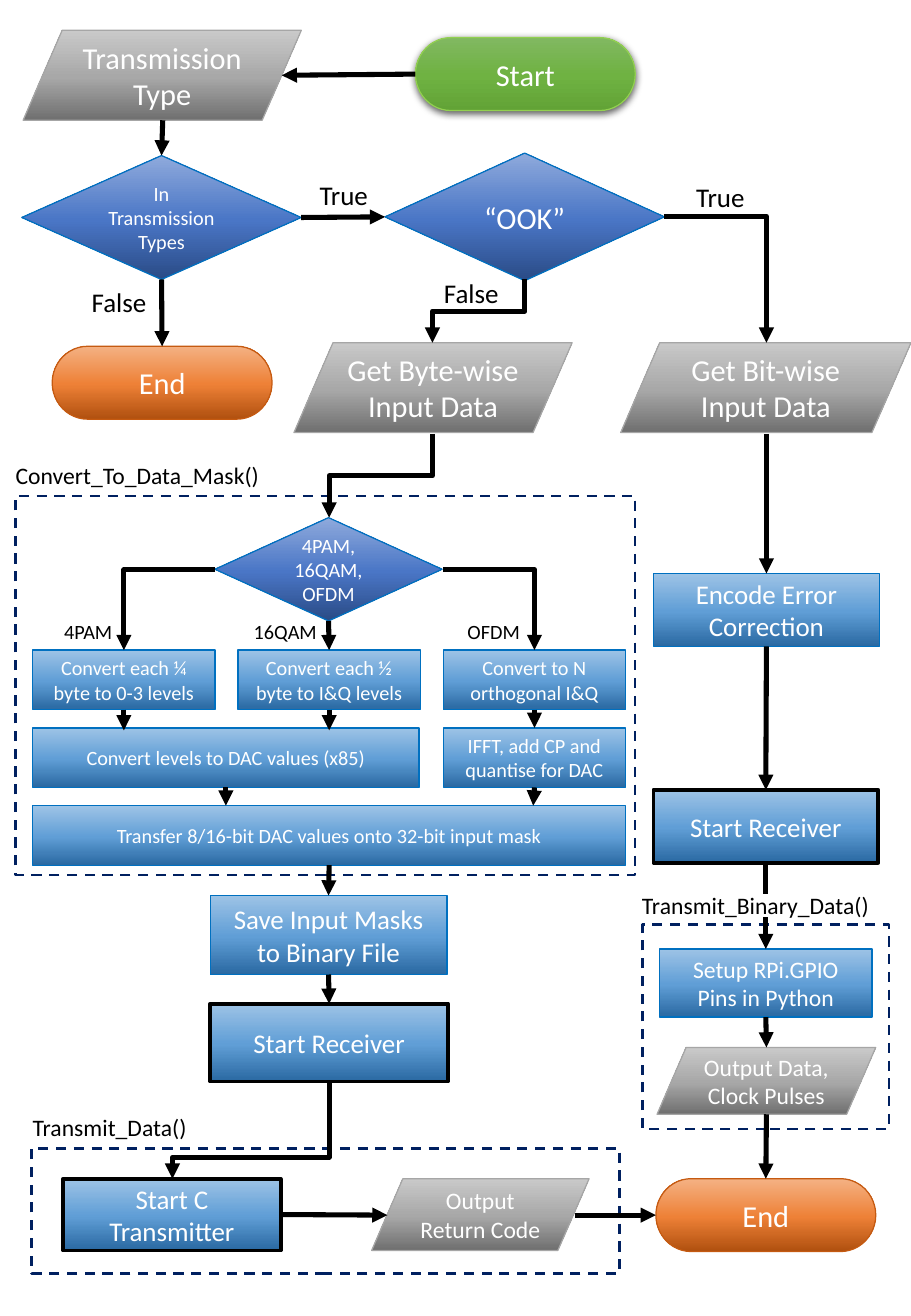
import copy
import pptx
import pptx.util
import pptx.dml.color
import pptx.enum.dml
import pptx.enum.shapes
import pptx.enum.text
import pptx.oxml
import pptx.oxml.ns

Inches = pptx.util.Inches
Pt = pptx.util.Pt
Rgb = pptx.dml.color.RGBColor.from_string
Shape = pptx.enum.shapes.MSO_SHAPE
Link = pptx.enum.shapes.MSO_CONNECTOR
Align = pptx.enum.text.PP_ALIGN
qn = pptx.oxml.ns.qn
NS = pptx.oxml.ns.nsdecls("a")

hues = {
    "black": "000000", "white": "FFFFFF", "navy": "002060",
    "blue": "0070C0", "gray": "A6A6A6", "green": "92D050", "rust": "C55A11",
}
fades = {
    "step": ("2A69A2", "609ED6", "9DC3E6"),
    "test": ("2A4B86", "4A76C6", "8FAADC"),
    "data": ("6F6F6F", "A8A8A8", "C9C9C9"),
    "start": ("62A336", "6FB242", "81B861"),
    "end": ("B0500F", "EE8137", "F4B183"),
}
styles = {
    "step": (Shape.FLOWCHART_PROCESS, "step", "blue", 0.75),
    "call": (Shape.FLOWCHART_PROCESS, "step", "black", 2.25),
    "test": (Shape.FLOWCHART_DECISION, "test", "blue", 0.75),
    "data": (Shape.PARALLELOGRAM, "data", "gray", 0.75),
    "start": (Shape.FLOWCHART_TERMINATOR, "start", "green", 0.75),
    "end": (Shape.FLOWCHART_TERMINATOR, "end", "rust", 0.75),
}

deck = pptx.Presentation()
deck.slide_width = Inches(7.5)
deck.slide_height = Inches(10.83)
slide = deck.slides.add_slide(deck.slide_layouts[6])
shapes = slide.shapes


def write(frame, text, size, hue, align):
    frame.word_wrap = True
    for i, line in enumerate(text.split("\n")):
        para = frame.paragraphs[0] if i == 0 else frame.add_paragraph()
        para.alignment = align
        run = para.add_run()
        run.text = line
        run.font.name = "Calibri"
        run.font.size = Pt(size)
        run.font.color.rgb = Rgb(hues[hue])


def arrow(kind, x1, y1, x2, y2):
    line = shapes.add_connector(kind, Inches(x1), Inches(y1), Inches(x2), Inches(y2))
    line.line.color.rgb = Rgb(hues["black"])
    line.line.width = Pt(3)
    line.line._get_or_add_ln().append(pptx.oxml.parse_xml(f'<a:tailEnd {NS} type="triangle"/>'))
    line._element.spPr.append(pptx.oxml.parse_xml(f"<a:effectLst {NS}/>"))
    return line


for x, y, w, h in [(0.13, 4.08, 5.1, 3.12), (0.26, 9.45, 4.84, 1.03), (5.29, 7.61, 2.03, 1.68)]:
    zone = shapes.add_shape(Shape.RECTANGLE, Inches(x), Inches(y), Inches(w), Inches(h))
    zone.shadow.inherit = False
    zone.fill.background()
    zone.line.color.rgb = Rgb(hues["navy"])
    zone.line.width = Pt(1.5)
    zone.line.dash_style = pptx.enum.dml.MSO_LINE.DASH

nodes = [
    ("start", "start", 3.42, 0.31, 1.81, 0.6, 18, "Start"),
    ("type", "data", 0.19, 0.25, 2.29, 0.74, 18, "Transmission Type"),
    ("known", "test", 0.18, 1.28, 2.3, 1.02, 12, "In Transmission Types"),
    ("ook", "test", 3.17, 1.26, 2.3, 1.05, 18, "“OOK”"),
    ("stop", "end", 0.43, 2.85, 1.81, 0.6, 18, "End"),
    ("bytes", "data", 2.42, 2.82, 2.29, 0.74, 18, "Get Byte-wise Input Data"),
    ("bits", "data", 5.11, 2.82, 2.39, 0.74, 18, "Get Bit-wise Input Data"),
    ("mode", "test", 1.77, 4.26, 1.87, 0.85, 12, "4PAM, 16QAM, OFDM"),
    ("dac", "step", 0.27, 5.99, 3.18, 0.49, 12, "Convert levels to DAC values (x85)"),
    ("ifft", "step", 3.65, 5.99, 1.5, 0.49, 12, "IFFT, add CP and quantise for DAC"),
    ("mask", "step", 0.27, 6.63, 4.88, 0.49, 12,
     "Transfer 8/16-bit DAC values onto 32-bit input mask"),
    ("save", "step", 1.73, 7.37, 1.95, 0.65, 16, "Save Input Masks\nto Binary File"),
    ("left", "call", 1.73, 8.26, 1.96, 0.64, 16, "Start Receiver"),
    ("send", "call", 0.52, 9.7, 1.79, 0.59, 16, "Start C Transmitter"),
    ("code", "data", 3.06, 9.7, 1.79, 0.59, 14, "Output Return Code"),
    ("fix", "step", 5.38, 4.72, 1.86, 0.6, 16, "Encode Error Correction"),
    ("right", "call", 5.38, 6.5, 1.85, 0.6, 16, "Start Receiver"),
    ("pins", "step", 5.43, 7.81, 1.75, 0.56, 14, "Setup RPi.GPIO Pins in Python"),
    ("pulse", "data", 5.41, 8.62, 1.8, 0.55, 14, "Output Data, Clock Pulses"),
    ("end", "end", 5.4, 9.7, 1.81, 0.6, 18, "End"),
]
for i, text in enumerate(["Convert each ¼ byte to 0-3 levels",
                          "Convert each ½ byte to I&Q levels",
                          "Convert to N orthogonal I&Q"]):
    nodes.append((f"map{i}", "step", 0.27 + 1.69 * i, 5.35, 1.5, 0.49, 12, text))

boxes = {}
for name, style, x, y, w, h, size, text in nodes:
    form, fade, edge, width = styles[style]
    box = shapes.add_shape(form, Inches(x), Inches(y), Inches(w), Inches(h))
    box.shadow.inherit = False
    box.fill.gradient()
    box.fill.gradient_angle = 90
    stops = box._element.spPr.find(qn("a:gradFill")).find(qn("a:gsLst"))
    stops.append(copy.deepcopy(stops[0]))
    for stop, spot, hue in zip(box.fill.gradient_stops, (0, 0.48, 1), fades[fade]):
        stop.position = spot
        stop.color.rgb = Rgb(hue)
    box.line.color.rgb = Rgb(hues[edge])
    box.line.width = Pt(width)
    if style == "data":
        box.adjustments[0] = 0.435
    box.text_frame.vertical_anchor = pptx.enum.text.MSO_ANCHOR.MIDDLE
    write(box.text_frame, text, size, "white", Align.CENTER)
    boxes[name] = box

glow = boxes["start"]._element.spPr.find(qn("a:effectLst"))
glow.append(pptx.oxml.parse_xml(
    f'<a:outerShdw {NS} blurRad="57150" dist="19050" dir="5400000" algn="ctr" rotWithShape="0">'
    f'<a:srgbClr val="{hues["black"]}"><a:alpha val="63000"/></a:srgbClr></a:outerShdw>'))

links = [
    (3.42, 0.61, 2.32, 0.62, ("start", 1), None),
    (1.34, 0.99, 1.33, 1.28, None, ("known", 0)),
    (2.48, 1.79, 3.17, 1.78, ("known", 3), ("ook", 1)),
    (1.33, 2.3, 1.33, 2.85, ("known", 2), ("stop", 0)),
    (6.31, 3.57, 6.31, 4.72, None, ("fix", 0)),
    (6.31, 5.32, 6.31, 6.5, ("fix", 2), ("right", 0)),
    (6.31, 7.1, 6.3, 7.81, ("right", 2), ("pins", 0)),
    (6.3, 8.37, 6.31, 8.62, ("pins", 2), None),
    (6.31, 9.17, 6.3, 9.7, None, ("end", 0)),
    (2.71, 5.11, 2.71, 5.35, ("mode", 2), ("map1", 0)),
    (1.02, 5.84, 1.02, 6.01, ("map0", 2), None),
    (2.71, 5.84, 2.71, 6.01, ("map1", 2), None),
    (4.4, 5.84, 4.4, 6.01, ("map2", 2), ("ifft", 0)),
    (1.86, 6.48, 1.86, 6.63, ("dac", 2), None),
    (4.4, 6.48, 4.39, 6.63, ("ifft", 2), None),
    (2.71, 7.12, 2.71, 7.37, ("mask", 2), ("save", 0)),
    (2.71, 8.02, 2.71, 8.26, ("save", 2), ("left", 0)),
    (2.31, 10, 3.19, 10, ("send", 3), None),
    (4.73, 10, 5.4, 10, None, ("end", 1)),
]
for x1, y1, x2, y2, head, tail in links:
    line = arrow(Link.STRAIGHT, x1, y1, x2, y2)
    if head:
        line.begin_connect(boxes[head[0]], head[1])
    if tail:
        line.end_connect(boxes[tail[0]], tail[1])

for x1, y1, x2, y2 in [(5.47, 1.78, 6.31, 2.82), (3.65, 4.69, 4.4, 5.35), (1.77, 4.69, 1.02, 5.35)]:
    line = arrow(Link.ELBOW, x1, y1, x2, y2)
    line._element.spPr.find(qn("a:prstGeom")).set("prst", "bentConnector2")

for x1, y1, x2, y2, bend in [(4.32, 2.3, 3.56, 2.82, 50), (3.56, 3.57, 2.71, 4.26, 50),
                             (2.71, 8.9, 1.42, 9.7, 78)]:
    cx, cy = (x1 + x2) / 2, (y1 + y2) / 2
    dx, dy = (y2 - y1) / 2, (x1 - x2) / 2
    line = arrow(Link.ELBOW, cx - dx, cy - dy, cx + dx, cy + dy)
    line._element.spPr.find(qn("a:xfrm")).set("rot", "5400000")
    guide = pptx.oxml.parse_xml(f'<a:gd {NS} name="adj1" fmla="val {bend * 1000}"/>')
    line._element.spPr.find(qn("a:prstGeom")).find(qn("a:avLst")).append(guide)

patch = shapes.add_shape(Shape.FLOWCHART_PROCESS, Inches(6.05), Inches(7.36), Inches(0.47), Inches(0.19))
patch.shadow.inherit = False
patch.fill.solid()
patch.fill.fore_color.rgb = Rgb(hues["white"])
patch.line.fill.background()

for x, y, w, h, size, align, text in [
    (2.04, 1.42, 1.58, 0.37, 16, Align.CENTER, "True"),
    (5.14, 1.44, 1.58, 0.37, 16, Align.CENTER, "True"),
    (0.19, 2.3, 1.58, 0.37, 16, Align.CENTER, "False"),
    (3.09, 2.23, 1.58, 0.37, 16, Align.CENTER, "False"),
    (0.03, 3.74, 2.22, 0.34, 14, Align.LEFT, "Convert_To_Data_Mask()"),
    (0.17, 9.11, 2.22, 0.34, 14, Align.LEFT, "Transmit_Data()"),
    (5.15, 7.28, 2.14, 0.34, 14, Align.CENTER, "Transmit_Binary_Data()"),
    (0.43, 5.05, 0.67, 0.3, 12, Align.LEFT, "4PAM"),
    (1.99, 5.05, 0.75, 0.3, 12, Align.LEFT, "16QAM"),
    (3.75, 5.05, 0.75, 0.3, 12, Align.LEFT, "OFDM"),
]:
    label = shapes.add_textbox(Inches(x), Inches(y), Inches(w), Inches(h))
    write(label.text_frame, text, size, "black", align)

deck.save("out.pptx")
